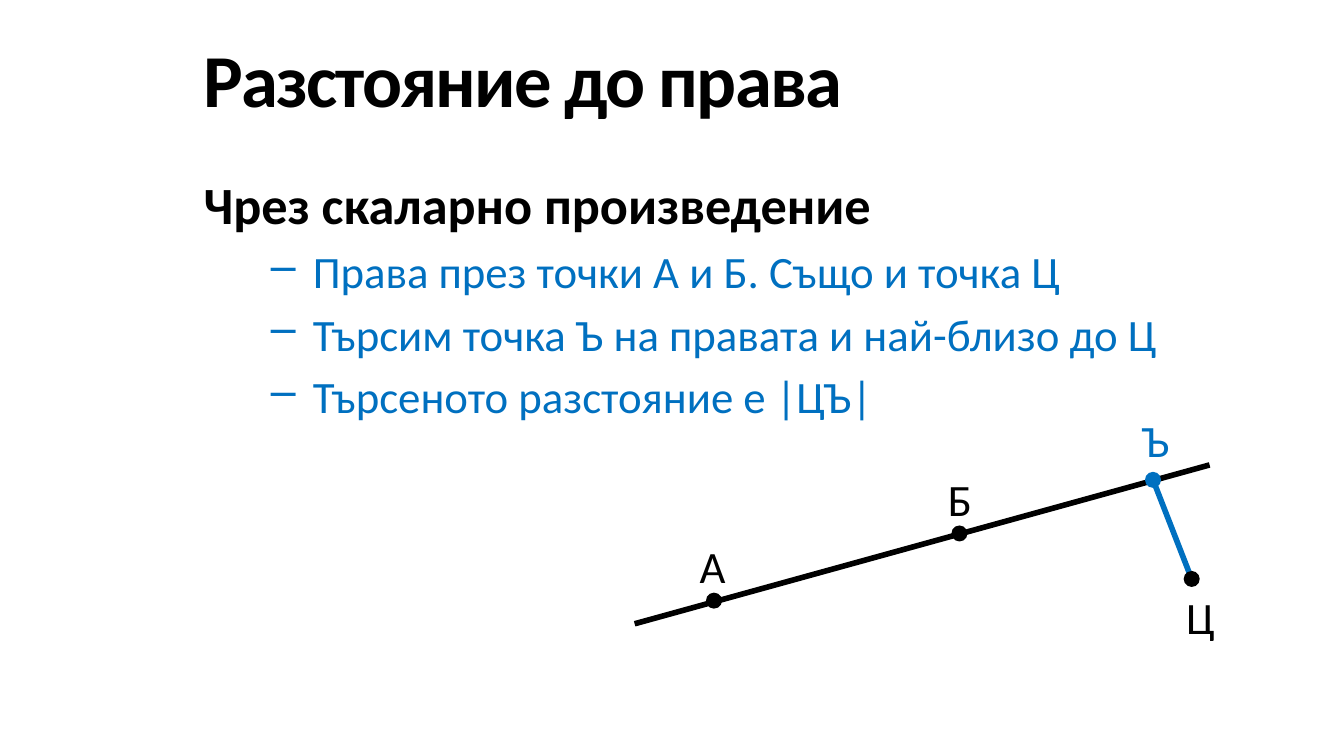
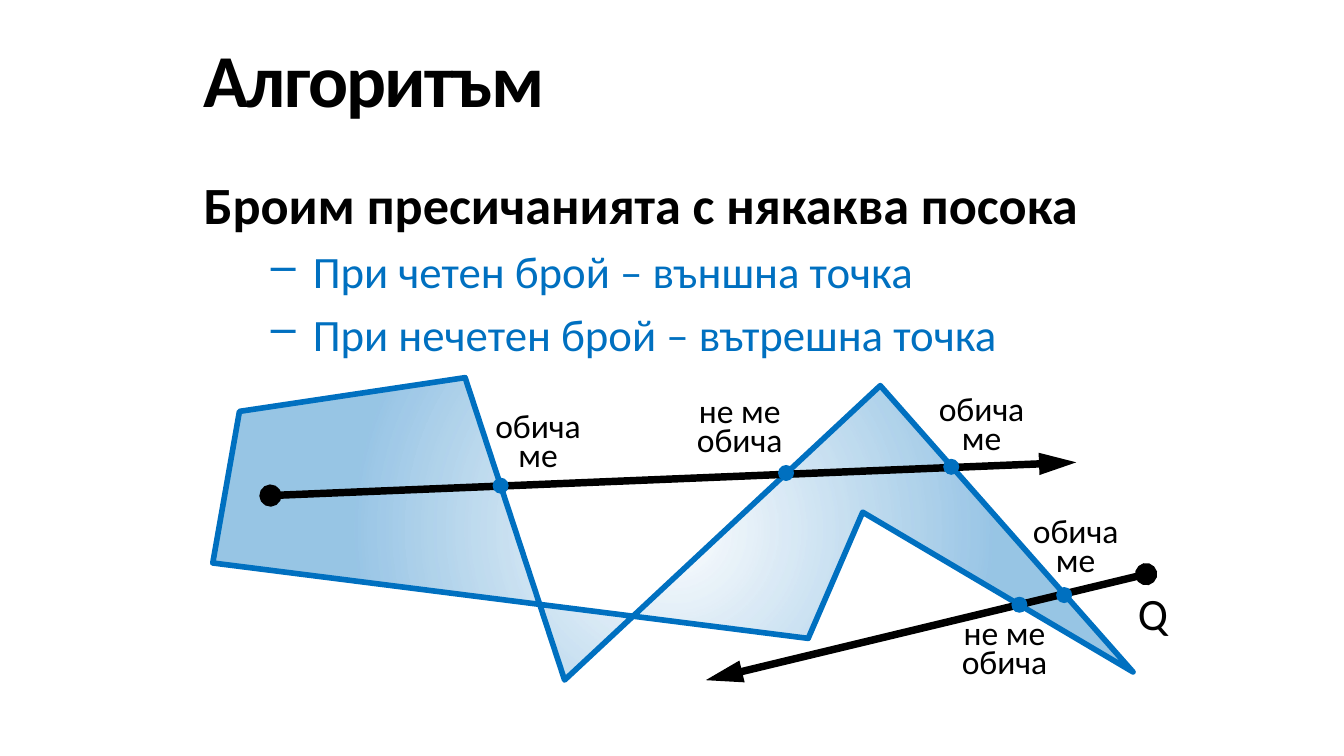
from pptx import Presentation
from pptx.dml.color import RGBColor as Rgb
from pptx.enum.shapes import MSO_CONNECTOR as Link, MSO_SHAPE as Form
from pptx.enum.text import MSO_ANCHOR as Anchor, PP_ALIGN as Align
from pptx.oxml import parse_xml
from pptx.oxml.ns import nsdecls, qn
from pptx.util import Pt

BLACK, BLUE = "000000", "0070C0"
HEAD = dict(size=Pt(40), bold=True)
LEAD = dict(size=Pt(28), bold=True)
ITEM = dict(size=Pt(24), bold=False)
NAME = dict(size=Pt(24))
NOTE = dict(size=Pt(18))
LOVES = ["обича", "ме"]
NOT = ["не ме", "обича"]


def tint(code):
    return Rgb.from_string(code)


def pts(*vals):
    return [Pt(v) for v in vals]


def add_xml(node, tag, **attrs):
    """Append an empty DrawingML element with the given attributes."""
    child = parse_xml(f"<a:{tag} {nsdecls('a')}/>")
    for key, val in attrs.items():
        child.set(key, val)
    node.append(child)


class Deck:
    """Holds the shared style and the slide being drawn."""

    font = "Calibri"
    left, wide = 102, 618

    def __init__(self):
        self.prs = Presentation()
        self.prs.slide_width, self.prs.slide_height = pts(720, 405)

    def page(self, title, lead, items):
        """Start a slide with its title, lead line and dashed items."""
        blank = self.prs.slide_layouts[6]
        self.shapes = self.prs.slides.add_slide(blank).shapes
        body = self.frame(self.left, 88.6, self.wide, 293.8)
        self.text(body, lead, LEAD, first=True)
        for item in items:
            par = self.text(body, item, ITEM, BLUE)
            props = par._p.get_or_add_pPr()
            props.set("lvl", "1")
            props.set("marL", str(Pt(58.5)))
            props.set("indent", str(Pt(-22.5)))
            add_xml(props, "buChar", char="–")
        head = self.frame(self.left, 10.8, self.wide, 61.2, Anchor.MIDDLE)
        par = self.text(head, title, HEAD, first=True)
        par.space_before = Pt(0)
        par.runs[0]._r.get_or_add_rPr().set("spc", "-100")

    def frame(self, x, y, w, h, anchor=Anchor.TOP):
        frame = self.shapes.add_textbox(*pts(x, y, w, h)).text_frame
        frame.word_wrap = True
        frame.vertical_anchor = anchor
        return frame

    def text(self, frame, words, style, color=BLACK, first=False):
        """Add a paragraph spaced by a fifth of its text size."""
        par = frame.paragraphs[0] if first else frame.add_paragraph()
        run = par.add_run()
        run.text = words
        for key, val in dict(style, name=self.font).items():
            setattr(run.font, key, val)
        run.font.color.rgb = tint(color)
        par.space_before = Pt(style["size"].pt / 5)
        return par

    def name(self, text, x, y, color=BLACK, w=42):
        """Label a point with one letter."""
        par = self.text(self.frame(x, y, w, 40), text, NAME, color, True)
        par.alignment = Align.CENTER

    def note(self, lines, x, y):
        """Add a tight centred note of several lines."""
        frame = self.frame(x, y, 84.2, 44.6, Anchor.MIDDLE)
        for num, text in enumerate(lines):
            par = self.text(frame, text, NOTE, first=num == 0)
            par.alignment = Align.CENTER
            par.line_spacing = Pt(12)

    def dot(self, x, y, color=BLUE, size=8.6):
        """Draw a dot centred on x, y."""
        box = pts(x - size / 2, y - size / 2, size, size)
        dot = self.shapes.add_shape(Form.OVAL, *box)
        dot.shadow.inherit = False
        dot.fill.solid()
        dot.fill.fore_color.rgb = tint(color)
        dot.line.fill.background()

    def line(self, start, end, color=BLACK, width=3):
        line = self.shapes.add_connector(Link.STRAIGHT, *pts(*start, *end))
        line.line.color.rgb = tint(color)
        line.line.width = Pt(width)
        add_xml(line.element.spPr, "effectLst")
        return line

    def ray(self, start, end):
        """Draw a thick line from a round end to an arrowhead."""
        ln = self.line(start, end, width=4).element.spPr.find(qn("a:ln"))
        add_xml(ln, "headEnd", type="oval")
        add_xml(ln, "tailEnd", type="triangle", w="med", len="lg")

    def shape(self, points):
        """Draw a closed outline whose blue fades out at the centre."""
        first, *rest = [pts(*point) for point in points]
        build = self.shapes.build_freeform(*first)
        build.add_line_segments(rest, close=True)
        shape = build.convert_to_shape()
        shape.shadow.inherit = False
        shape.line.color.rgb = tint(BLUE)
        shape.line.width = Pt(3)
        stops = "".join(
            f'<a:gs pos="{pos}000"><a:srgbClr val="{BLUE}">'
            f'<a:alpha val="{alpha}000"/></a:srgbClr></a:gs>'
            for pos, alpha in [(0, 0), (66, 40)])
        fade = parse_xml(
            f'<a:gradFill {nsdecls("a")}><a:gsLst>{stops}</a:gsLst>'
            '<a:path path="circle"><a:fillToRect l="50000" t="50000" '
            'r="50000" b="50000"/></a:path></a:gradFill>')
        shape.element.spPr.find(qn("a:custGeom")).addnext(fade)


def range_page(deck):
    """Distance from a point to a line."""
    deck.page("Разстояние до права", "Чрез скаларно произведение", [
        "Права през точки А и Б. Също и точка Ц",
        "Търсим точка Ъ на правата и най-близо до Ц",
        "Търсеното разстояние е |ЦЪ|"])
    near, far = (617.7, 257.1), (638.4, 310.2)
    deck.line(far, near, BLUE)
    deck.line((340, 334.2), (648, 249.1))
    deck.name("А", 360.7, 285.1)
    deck.name("Б", 493.2, 249.1)
    deck.name("Ъ", 598.3, 217.4, BLUE)
    deck.name("Ц", 622.1, 312.5)
    for spot in [(382.5, 321.8), (514, 285.8), far]:
        deck.dot(*spot, BLACK)
    deck.dot(*near)


def count_page(deck):
    """Point in polygon by counting crossings."""
    deck.page("Алгоритъм", "Броим пресичанията с някаква посока", [
        "При четен брой – външна точка",
        "При нечетен брой – вътрешна точка"])
    deck.shape([(607, 360), (462.2, 274.4), (433, 342), (114, 301.6),
                (128.3, 220.4), (249.2, 202.3), (302.5, 364.3),
                (471.6, 206.6)])
    deck.ray((144.9, 265.5), (576.6, 247.7))
    deck.ray((614, 307.6), (378.1, 364.4))
    for lines, x, y in [(LOVES, 246.2, 218.2), (LOVES, 483.8, 208.8),
                        (NOT, 354.2, 210.2), (LOVES, 534.2, 274.3),
                        (NOT, 496.1, 329)]:
        deck.note(lines, x, y)
    deck.name("Q", 583.2, 310.3, w=69)
    for spot in [(268.2, 260.2), (421.1, 253.4), (509.6, 250.1),
                 (570.1, 318.8), (546.1, 324)]:
        deck.dot(*spot)


def main():
    deck = Deck()
    range_page(deck)
    count_page(deck)
    deck.prs.save("out.pptx")


if __name__ == "__main__":
    main()
